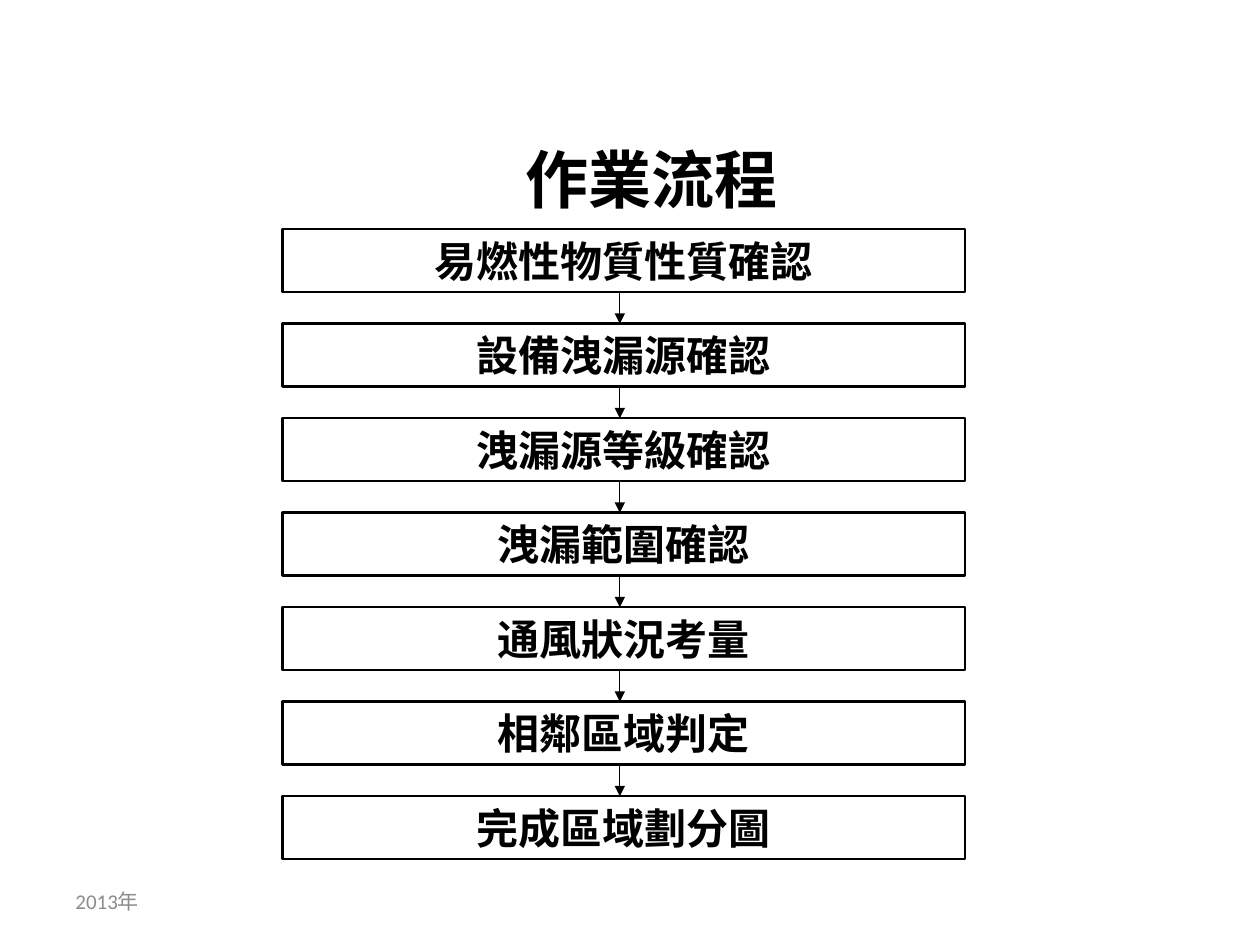
from lxml.etree import SubElement
from pptx import Presentation
from pptx.dml.color import RGBColor
from pptx.enum.shapes import MSO_CONNECTOR as Connector, MSO_SHAPE as Shape
from pptx.enum.text import MSO_ANCHOR as Anchor, PP_ALIGN as Align
from pptx.oxml.ns import qn
from pptx.util import Pt

# Content
TITLE = "作業流程"
DATE = "2013年"
STEPS = [
    "易燃性物質性質確認",
    "設備洩漏源確認",
    "洩漏源等級確認",
    "洩漏範圍確認",
    "通風狀況考量",
    "相鄰區域判定",
    "完成區域劃分圖",
]

# Style and layout, in points
COLORS = {"ink": "000000", "paper": "FFFFFF", "date": "8C8C8C"}
TITLE_FONT, STEP_FONT, DATE_FONT = "Noto Sans CJK SC", "Noto Sans CJK TC", "Calibri"
STEP_LEFT, STEP_TOP, STEP_WIDTH, STEP_HEIGHT = 161.3, 131, 390.2, 36
STEP_PITCH = 54
ARROW_X = 354.2


def color(name):
    return RGBColor.from_string(COLORS[name])


def write(shape, text, font_name, size, ink="ink", bold=True, align=Align.CENTER):
    frame = shape.text_frame
    frame.word_wrap = True
    frame.vertical_anchor = Anchor.MIDDLE
    frame.text = text
    paragraph = frame.paragraphs[0]
    paragraph.alignment = align
    font = paragraph.font
    font.name, font.size, font.bold = font_name, Pt(size), bold
    font.color.rgb = color(ink)
    # Chinese characters take the East Asian typeface
    if font_name != DATE_FONT:
        properties = paragraph._p.pPr.find(qn("a:defRPr"))
        SubElement(properties, qn("a:ea"), typeface=font_name)


def add_step(slide, text, top):
    box = slide.shapes.add_shape(
        Shape.RECTANGLE, Pt(STEP_LEFT), Pt(top), Pt(STEP_WIDTH), Pt(STEP_HEIGHT))
    box.shadow.inherit = False
    box.fill.solid()
    box.fill.fore_color.rgb = color("paper")
    box.line.color.rgb = color("ink")
    box.line.width = Pt(1.5)
    write(box, text, STEP_FONT, 24)


def add_arrow(slide, top, bottom):
    arrow = slide.shapes.add_connector(
        Connector.STRAIGHT, Pt(ARROW_X), Pt(top), Pt(ARROW_X), Pt(bottom))
    arrow.line.color.rgb = color("ink")
    arrow.line.width = Pt(0.75)
    SubElement(arrow.line._get_or_add_ln(), qn("a:tailEnd"), type="triangle")
    SubElement(arrow._element.spPr, qn("a:effectLst"))


def main():
    presentation = Presentation()
    presentation.slide_width, presentation.slide_height = Pt(720), Pt(540)
    slide = presentation.slides.add_slide(presentation.slide_layouts[5])

    # Date and title
    date = slide.shapes.add_textbox(Pt(36), Pt(500.5), Pt(168), Pt(28.8))
    write(date, DATE, DATE_FONT, 12, "date", False, Align.LEFT)
    title = slide.shapes.title
    title.left, title.top, title.width, title.height = Pt(84.2), Pt(77), Pt(576.7), Pt(49.7)
    write(title, TITLE, TITLE_FONT, 36)

    # Process steps, then the arrows between them
    tops = [STEP_TOP + index * STEP_PITCH for index in range(len(STEPS))]
    for text, top in zip(STEPS, tops):
        add_step(slide, text, top)
    for top, next_top in zip(tops, tops[1:]):
        add_arrow(slide, top + STEP_HEIGHT, next_top)

    presentation.save("out.pptx")


if __name__ == "__main__":
    main()
